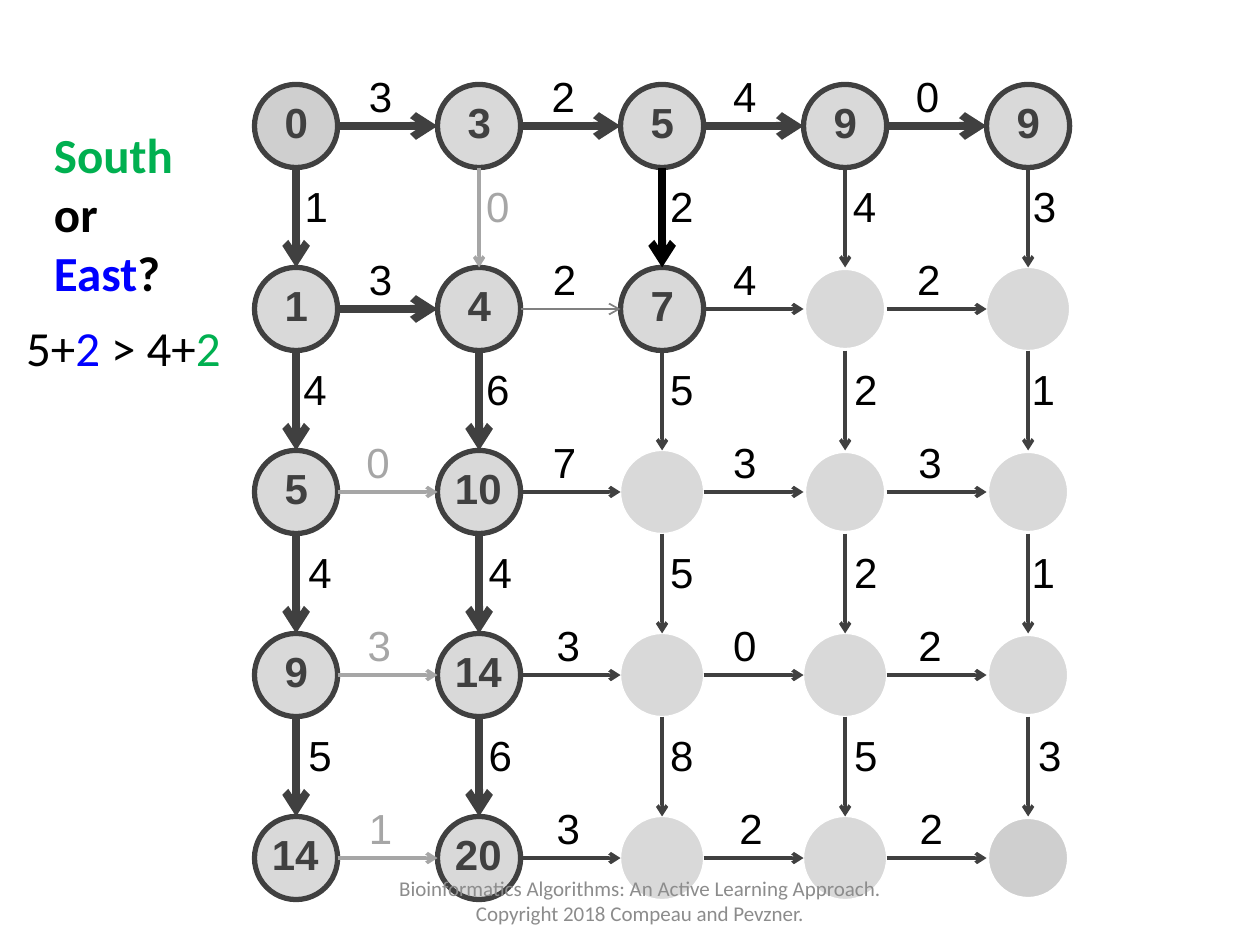
from pptx import Presentation
from pptx.util import Inches, Pt
from pptx.dml.color import RGBColor as RGB
from pptx.enum.shapes import MSO_SHAPE as Shape, MSO_CONNECTOR as Link
from pptx.enum.text import MSO_ANCHOR as Anchor, MSO_AUTO_SIZE as Fit, PP_ALIGN as Align
from pptx.oxml.ns import qn
from lxml.etree import SubElement as Sub

COLORS = {
    "dark": "404040", "pale": "A6A6A6", "mid": "808080", "black": "000000",
    "white": "FFFFFF", "node": "D9D9D9", "end": "BFBFBF",
    "green": "00B050", "blue": "0000FF", "foot": "8C8C8C",
}

# Grid of nodes
LEFT, TOP, STEP, SIZE = 2.02, 0.67, 1.4525, 0.66
LAST = 4

# Line styles: colour and width in points
EDGES = {"B": ("dark", 4.5), "K": ("black", 4.5), "n": ("dark", 2),
         "g": ("pale", 2), "f": ("mid", 1)}
RINGS = {"D": ("dark", 3), "W": ("white", 3), "w": ("white", 0.75)}

# Per row: ring styles and scores
NODES = [
    ("DDDDD", [0, 3, 5, 9, 9]),
    ("DDDWw", [1, 4, 7]),
    ("DDwWW", [5, 10]),
    ("DDwwW", [9, 14]),
    ("DDwwW", [14, 20]),
]
# Per row: edge styles, weights and left sides of the weights
EAST = [
    ("BBBB", "3240", [2.83, 4.28, 5.72, 7.17]),
    ("Bfnn", "3242", [2.83, 4.29, 5.72, 7.18]),
    ("gnnn", "0733", [2.81, 4.29, 5.72, 7.19]),
    ("gnnn", "3302", [2.82, 4.32, 5.72, 7.19]),
    ("gnnn", "1322", [2.83, 4.32, 5.77, 7.20]),
]
SOUTH = [
    ("BgKnn", "10243", [2.32, 3.76, 5.22, 6.67, 8.10]),
    ("BBnnn", "46521", [2.31, 3.76, 5.22, 6.68, 8.09]),
    ("BBnnn", "44521", [2.35, 3.78, 5.22, 6.68, 8.09]),
    ("BBnnn", "56853", [2.35, 3.78, 5.22, 6.68, 8.14]),
]


def spot(row, col):
    return LEFT + col * STEP, TOP + row * STEP


class Board:
    """Holds the slide and the style of its elements."""

    def __init__(self, slide):
        self.slide = slide
        self.shapes = slide.shapes

    def color(self, name):
        return RGB.from_string(COLORS[name])

    def node(self, row, col, ring):
        x, y = spot(row, col)
        dot = self.shapes.add_shape(Shape.OVAL, Inches(x), Inches(y),
                                    Inches(SIZE), Inches(SIZE))
        dot.shadow.inherit = False
        end = (row, col) in ((0, 0), (LAST, LAST))
        dot.fill.solid()
        dot.fill.fore_color.rgb = self.color("end" if end else "node")
        if end:
            tint = dot.fill._xPr.find(qn("a:solidFill"))[0]
            Sub(tint, qn("a:alpha"), val="75000")
        name, width = RINGS[ring]
        dot.line.color.rgb = self.color(name)
        dot.line.width = Pt(width)

    def arrow(self, start, stop, style):
        line = self.shapes.add_connector(
            Link.STRAIGHT, *[Inches(v) for v in (*start, *stop)])
        name, width = EDGES[style]
        line.line.color.rgb = self.color(name)
        line.line.width = Pt(width)
        Sub(line.line._get_or_add_ln(), qn("a:tailEnd"), type="arrow")
        Sub(line._element.spPr, qn("a:effectLst"))

    def text(self, box, parts, size=24, font="Arial", bold=False, grow=True):
        """Add one paragraph made of (text, colour) parts."""
        item = self.shapes.add_textbox(*[Inches(v) for v in box])
        frame = item.text_frame
        frame.word_wrap = True
        frame.auto_size = Fit.SHAPE_TO_FIT_TEXT if grow else Fit.NONE
        for words, name in parts:
            run = frame.paragraphs[0].add_run()
            run.text = words
            run.font.size = Pt(size)
            run.font.name = font
            run.font.bold = bold
            run.font.color.rgb = self.color(name)
        return frame

    def weight(self, x, y, digit, style):
        name = "pale" if style == "g" else "black"
        self.text((x, y, 0.26, 0.5), [(digit, name)])

    def score(self, row, col, value):
        x, y = spot(row, col)
        dx, width = (0.14, 0.29) if value < 10 else (0.04, 0.66)
        self.text((x + dx, y + 0.05, width, 0.5), [(str(value), "dark")], bold=True)


def main():
    prs = Presentation()
    prs.slide_width, prs.slide_height = Inches(10), Inches(7.5)
    board = Board(prs.slides.add_slide(prs.slide_layouts[6]))
    half = SIZE / 2

    # Nodes
    for row, (rings, _) in enumerate(NODES):
        for col, ring in enumerate(rings):
            board.node(row, col, ring)

    # Edges to the east and their weights
    for row, (styles, digits, lefts) in enumerate(EAST):
        for col, (style, digit, left) in enumerate(zip(styles, digits, lefts)):
            x, y = spot(row, col)
            board.arrow((x + SIZE, y + half), (x + STEP, y + half), style)
            board.weight(left, y - 0.16, digit, style)

    # Edges to the south and their weights
    for row, (styles, digits, lefts) in enumerate(SOUTH):
        for col, (style, digit, left) in enumerate(zip(styles, digits, lefts)):
            x, y = spot(row, col)
            board.arrow((x + half, y + SIZE), (x + half, y + STEP), style)
            board.weight(left, y + 0.71, digit, style)

    # Scores in the nodes
    for row, (_, scores) in enumerate(NODES):
        for col, value in enumerate(scores):
            board.score(row, col, value)

    # Question and comparison
    board.text((0.33, 0.94, 1.42, 1.51),
               [("South ", "green"), ("or ", "black"), ("East", "blue"), ("?", "black")],
               size=28, font="Calibri", bold=True)
    board.text((0.11, 2.47, 1.86, 1.99),
               [("5+", "black"), ("2", "blue"), (" > 4+", "black"), ("2", "green")],
               size=28, font="Calibri")

    # Footer
    foot = board.text((2.83, 6.95, 4.5, 0.4),
                      [("Bioinformatics Algorithms: An Active Learning Approach. "
                        "Copyright 2018 Compeau and Pevzner.", "foot")],
                      size=12, font="Calibri", grow=False)
    foot.vertical_anchor = Anchor.MIDDLE
    foot.paragraphs[0].alignment = Align.CENTER

    prs.save("out.pptx")


if __name__ == "__main__":
    main()
